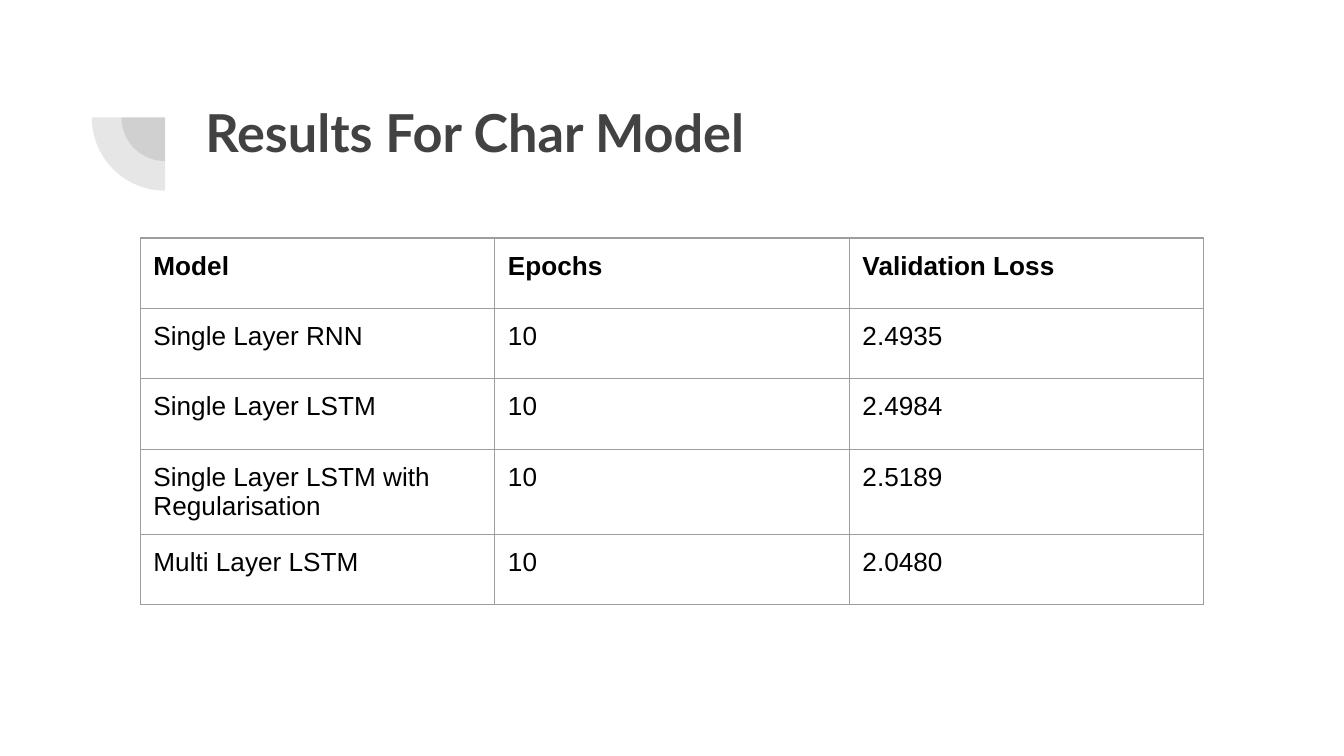
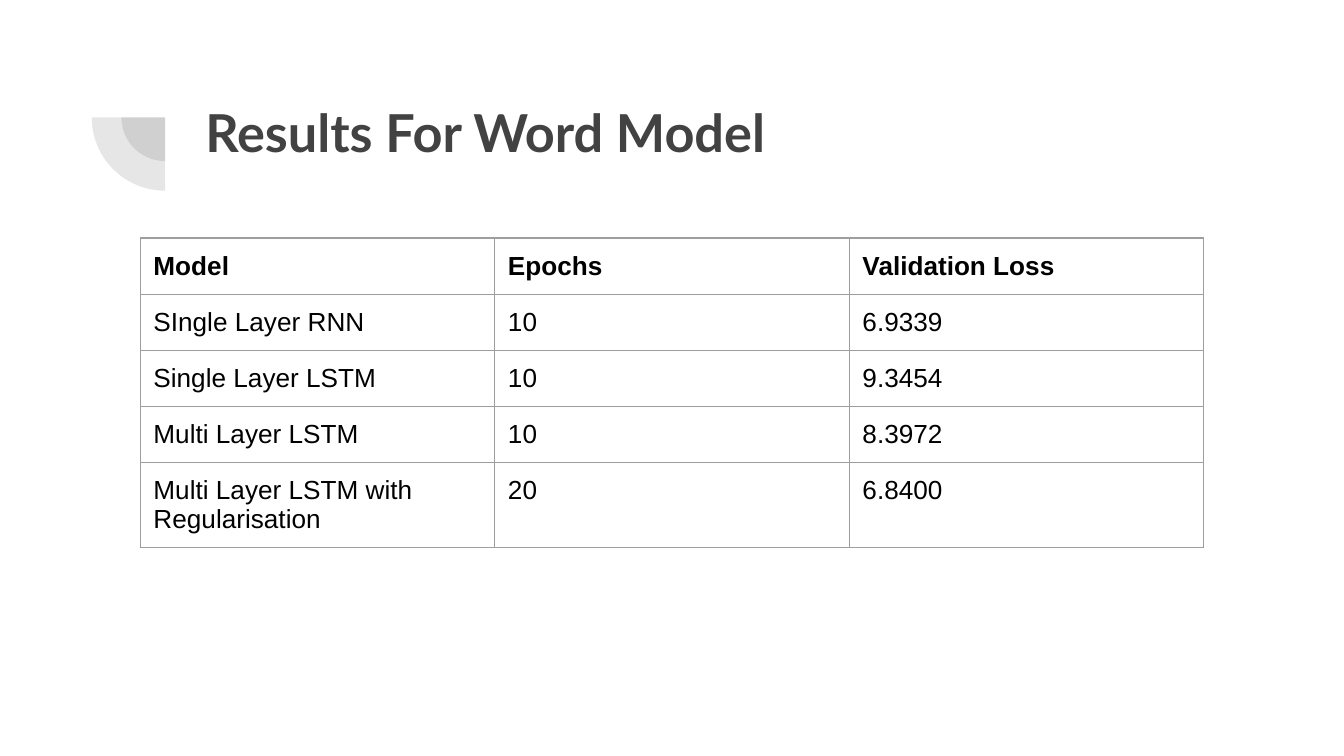
import pptx
import pptx.util
import pptx.dml.color
import pptx.enum.shapes
import pptx.enum.text
import pptx.oxml
import pptx.oxml.ns
import lxml.etree

Cm = pptx.util.Cm
COLORS = {"ink": "424242", "text": "000000", "border": "9E9E9E"}
HEADERS = ("Model", "Epochs", "Validation Loss")
PAGES = [
    {
        "title": "Results For Char Model",
        "title_height": 2.77,
        "row_height": 1.33,
        "rows": [
            ("Single Layer RNN", "10", "2.4935"),
            ("Single Layer LSTM", "10", "2.4984"),
            ("Single Layer LSTM with Regularisation", "10", "2.5189"),
            ("Multi Layer LSTM", "10", "2.0480"),
        ],
    },
    {
        "title": "Results For Word Model",
        "title_height": 1.83,
        "row_height": 1.06,
        "rows": [
            ("SIngle Layer RNN", "10", "6.9339"),
            ("Single Layer LSTM", "10", "9.3454"),
            ("Multi Layer LSTM", "10", "8.3972"),
            ("Multi Layer LSTM with Regularisation", "20", "6.8400"),
        ],
    },
]
PIE_CENTER = (3.12, 2.22)
PIE_SIZES = (1.65, 2.77)
PIE_ANGLES = (108, 162)
PIE_OPACITY = 13
COLUMN_WIDTH = 6.7
TABLE_LEFT, TABLE_TOP = 2.65, 4.5
INSET = Cm(0.25)


def rgb(name):
    return pptx.dml.color.RGBColor.from_string(COLORS[name])


def write(frame, text, font="Arial", size=14, color="text", bold=False):
    para = frame.paragraphs[0]
    para.alignment = pptx.enum.text.PP_ALIGN.LEFT
    span = para.add_run()
    span.text = text
    span.font.name = font
    span.font.size = pptx.util.Pt(size)
    span.font.bold = bold
    span.font.color.rgb = rgb(color)


def set_insets(holder):
    holder.margin_left = holder.margin_right = INSET
    holder.margin_top = holder.margin_bottom = INSET
    holder.vertical_anchor = pptx.enum.text.MSO_ANCHOR.TOP


def add_emblem(page):
    for size in PIE_SIZES:
        left, top = (Cm(center - size / 2) for center in PIE_CENTER)
        pie = page.shapes.add_shape(
            pptx.enum.shapes.MSO_SHAPE.PIE, left, top, Cm(size), Cm(size))
        pie.adjustments[0], pie.adjustments[1] = PIE_ANGLES
        pie.rotation = 270
        pie.shadow.inherit = False
        pie.line.fill.background()
        pie.fill.solid()
        pie.fill.fore_color.rgb = rgb("ink")
        color = pie.fill._xPr.find(".//" + pptx.oxml.ns.qn("a:srgbClr"))
        alpha = lxml.etree.SubElement(color, pptx.oxml.ns.qn("a:alpha"))
        alpha.set("val", str(PIE_OPACITY * 1000))


def add_title(page, text, height):
    box = page.shapes.title
    box.left, box.top = Cm(3.63), Cm(1.65)
    box.width, box.height = Cm(19.53), Cm(height)
    frame = box.text_frame
    frame.word_wrap = True
    frame.auto_size = pptx.enum.text.MSO_AUTO_SIZE.NONE
    set_insets(frame)
    write(frame, text, font="Lato", size=28, color="ink", bold=True)


def add_borders(cell):
    properties = cell._tc.get_or_add_tcPr()
    for side in "LRTB":
        properties.append(pptx.oxml.parse_xml(
            f'<a:ln{side} {pptx.oxml.ns.nsdecls("a")} w="{pptx.util.Pt(0.75)}">'
            f'<a:solidFill><a:srgbClr val="{COLORS["border"]}"/></a:solidFill>'
            f'</a:ln{side}>'))


def add_results(page, rows, row_height):
    table = page.shapes.add_table(
        len(rows), len(HEADERS), Cm(TABLE_LEFT), Cm(TABLE_TOP),
        Cm(COLUMN_WIDTH * len(HEADERS)), Cm(row_height * len(rows))).table
    table.first_row = table.horz_banding = False
    for column in table.columns:
        column.width = Cm(COLUMN_WIDTH)
    for row_index, values in enumerate(rows):
        table.rows[row_index].height = Cm(row_height)
        for column_index, text in enumerate(values):
            cell = table.cell(row_index, column_index)
            set_insets(cell)
            add_borders(cell)
            cell.fill.background()
            write(cell.text_frame, text, bold=row_index == 0)


deck = pptx.Presentation()
deck.slide_width, deck.slide_height = Cm(25.4), Cm(14.29)
for content in PAGES:
    page = deck.slides.add_slide(deck.slide_layouts.get_by_name("Title Only"))
    add_emblem(page)
    add_title(page, content["title"], content["title_height"])
    add_results(page, [HEADERS] + content["rows"], content["row_height"])
deck.save("out.pptx")
